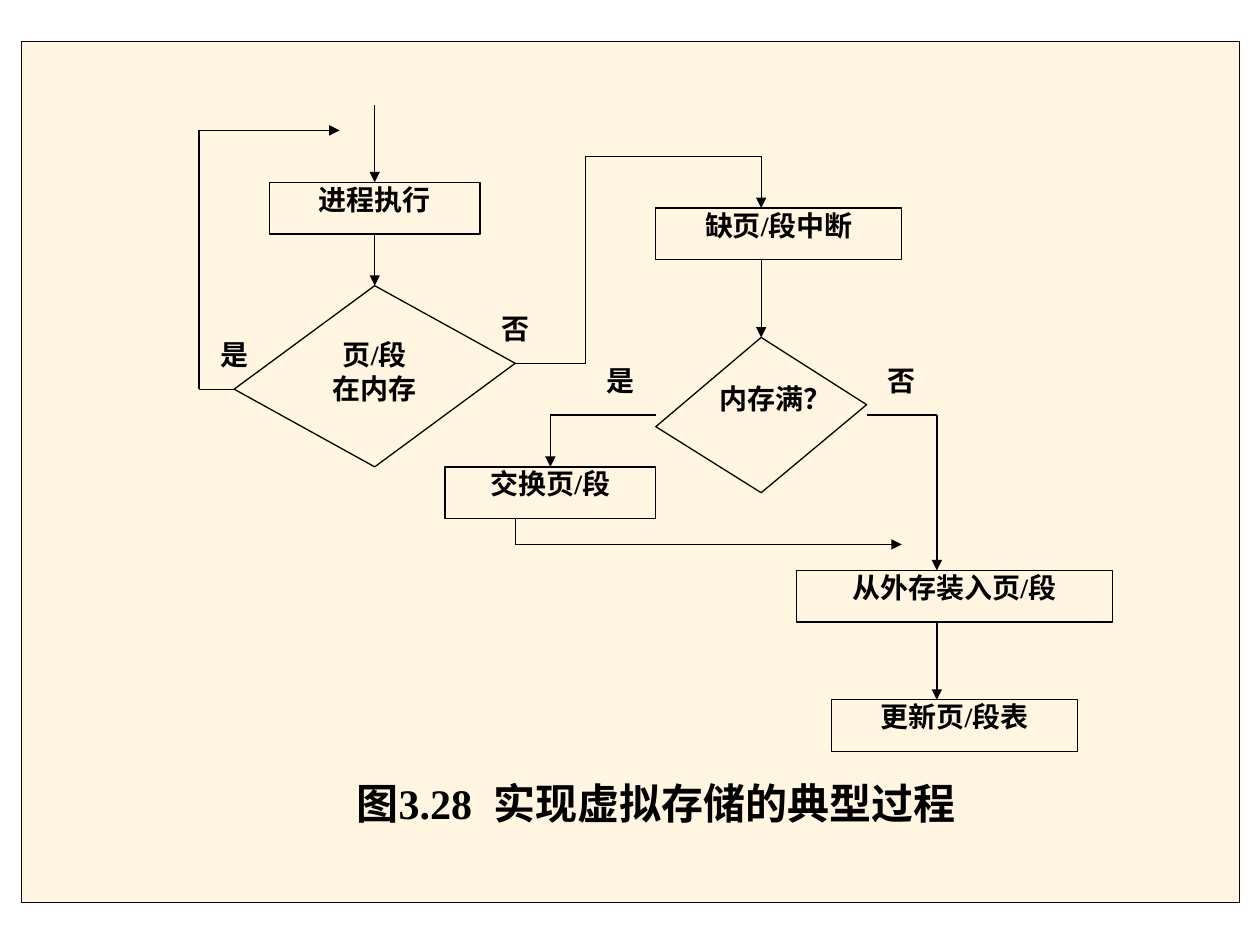
from dataclasses import dataclass
from itertools import pairwise

from lxml.etree import SubElement
from pptx import Presentation
from pptx.dml.color import RGBColor
from pptx.enum.shapes import MSO_CONNECTOR, MSO_SHAPE
from pptx.enum.text import MSO_ANCHOR, MSO_AUTO_SIZE, PP_ALIGN
from pptx.oxml.ns import qn
from pptx.util import Inches, Pt


@dataclass(frozen=True)
class Theme:
    font: str = "Times New Roman"
    ink: RGBColor = RGBColor(0, 0, 0)
    frame: RGBColor = RGBColor(0x08, 0x08, 0x08)
    paper: RGBColor = RGBColor(0xFF, 0xF5, 0xE0)
    body: float = 16
    caption: float = 24
    line: float = 0.75


TOP, LEFT, BOTTOM, RIGHT = range(4)
GRID_LEFT, GRID_TOP = 1.58, 0.83
COL, ROW = 7.25 / 26, 5.34 / 26


def x(col):
    return Inches(GRID_LEFT + col * COL)


def y(row):
    return Inches(GRID_TOP + row * ROW)


def area(col, row, cols, rows):
    return x(col), y(row), x(col + cols) - x(col), y(row + rows) - y(row)


def write(shape, text, *, size, font, color, bold=True, align=PP_ALIGN.CENTER):
    tf = shape.text_frame
    tf.word_wrap = True
    tf.auto_size = MSO_AUTO_SIZE.NONE
    tf.vertical_anchor = MSO_ANCHOR.TOP
    tf.margin_left = tf.margin_right = tf.margin_top = tf.margin_bottom = 0
    tf.text = text
    for p in tf.paragraphs:
        p.alignment = align
        for r in p.runs:
            r.font.name = font
            r.font.size = Pt(size)
            r.font.bold = bold
            r.font.color.rgb = color


class Flowchart:
    def __init__(self, prs, theme):
        self.prs, self.theme = prs, theme
        self.s = prs.slides.add_slide(prs.slide_layouts[5])

    def text(self, shape, text, size=None):
        write(shape, text, size=size or self.theme.body,
              font=self.theme.font, color=self.theme.ink)

    def outline(self, shape, color=None):
        shape.shadow.inherit = False
        shape.fill.background()
        shape.line.color.rgb = color or self.theme.ink
        shape.line.width = Pt(self.theme.line)

    def panel(self, left, top, width, height):
        """Draw the backdrop; lengths are shares of the slide's size."""
        w, h = self.prs.slide_width, self.prs.slide_height
        sp = self.s.shapes.add_shape(MSO_SHAPE.RECTANGLE, int(left * w), int(top * h),
                                     int(width * w), int(height * h))
        self.outline(sp, self.theme.frame)
        sp.fill.solid()
        sp.fill.fore_color.rgb = self.theme.paper
        return sp

    def caption(self, text, *cells, above):
        """Set the title in grid cells and stack it in front of another shape."""
        sp = self.s.shapes.title
        sp.left, sp.top, sp.width, sp.height = area(*cells)
        self.text(sp, text, self.theme.caption)
        above.element.addnext(sp.element)

    def box(self, text, *cells):
        sp = self.s.shapes.add_shape(MSO_SHAPE.RECTANGLE, *area(*cells))
        self.outline(sp)
        self.text(sp, text)
        return sp

    def label(self, text, *cells):
        self.text(self.s.shapes.add_textbox(*area(*cells)), text)

    def decision(self, *corners):
        start, *rest = [(x(c), y(r)) for c, r in corners]
        builder = self.s.shapes.build_freeform(*start)
        builder.add_line_segments(rest, close=True)
        self.outline(builder.convert_to_shape())

    def route(self, *points, arrow=True, begin=None, end=None):
        """Join grid points by straight lines; begin and end are (shape, site)."""
        lines = []
        for (c1, r1), (c2, r2) in pairwise(points):
            line = self.s.shapes.add_connector(MSO_CONNECTOR.STRAIGHT,
                                               x(c1), y(r1), x(c2), y(r2))
            line.line.color.rgb = self.theme.ink
            line.line.width = Pt(self.theme.line)
            SubElement(line.element.spPr, qn("a:effectLst"))
            lines.append(line)
        if arrow:
            SubElement(lines[-1].line._get_or_add_ln(), qn("a:tailEnd"), type="triangle")
        if begin:
            lines[0].begin_connect(*begin)
        if end:
            lines[-1].end_connect(*end)


def main():
    prs = Presentation()
    prs.slide_width, prs.slide_height = Inches(10), Inches(7.5)
    chart = Flowchart(prs, Theme())

    panel = chart.panel(0.017, 0.044, 0.967, 0.911)
    chart.caption("图3.28  实现虚拟存储的典型过程", 0, 26, 26, 2, above=panel)

    run = chart.box("进程执行", 2, 3, 6, 2)
    chart.box("缺页/段中断", 13, 4, 7, 2)
    swap = chart.box("交换页/段", 7, 14, 6, 2)
    chart.box("从外存装入页/段", 17, 18, 9, 2)
    chart.box("更新页/段表", 18, 23, 7, 2)

    chart.decision((5, 7), (9, 10), (5, 14), (1, 11))
    chart.label("页/段\n在内存", 3, 9, 4, 4)
    chart.decision((16, 9), (19, 11.6), (16, 15), (13, 12.45))
    chart.label("内存满？", 14.5, 10.7, 3, 3.4)

    for answer, col, row in [("是", 0, 9), ("否", 8, 8), ("是", 11, 10), ("否", 19, 10)]:
        chart.label(answer, col, row, 2, 2)

    chart.route((5, 0), (5, 3), end=(run, TOP))
    chart.route((5, 5), (5, 7), begin=(run, BOTTOM))
    chart.route((1, 11), (0, 11), (0, 1), (4, 1))
    chart.route((9, 10), (11, 10), (11, 2), (16, 2), (16, 4))
    chart.route((16, 6), (16, 9))
    chart.route((13, 12), (10, 12), (10, 14), end=(swap, TOP))
    chart.route((19, 12), (21, 12), (21, 18))
    chart.route((9, 16), (9, 17), (20, 17))
    chart.route((21, 20), (21, 23))

    prs.save("out.pptx")


if __name__ == "__main__":
    main()
